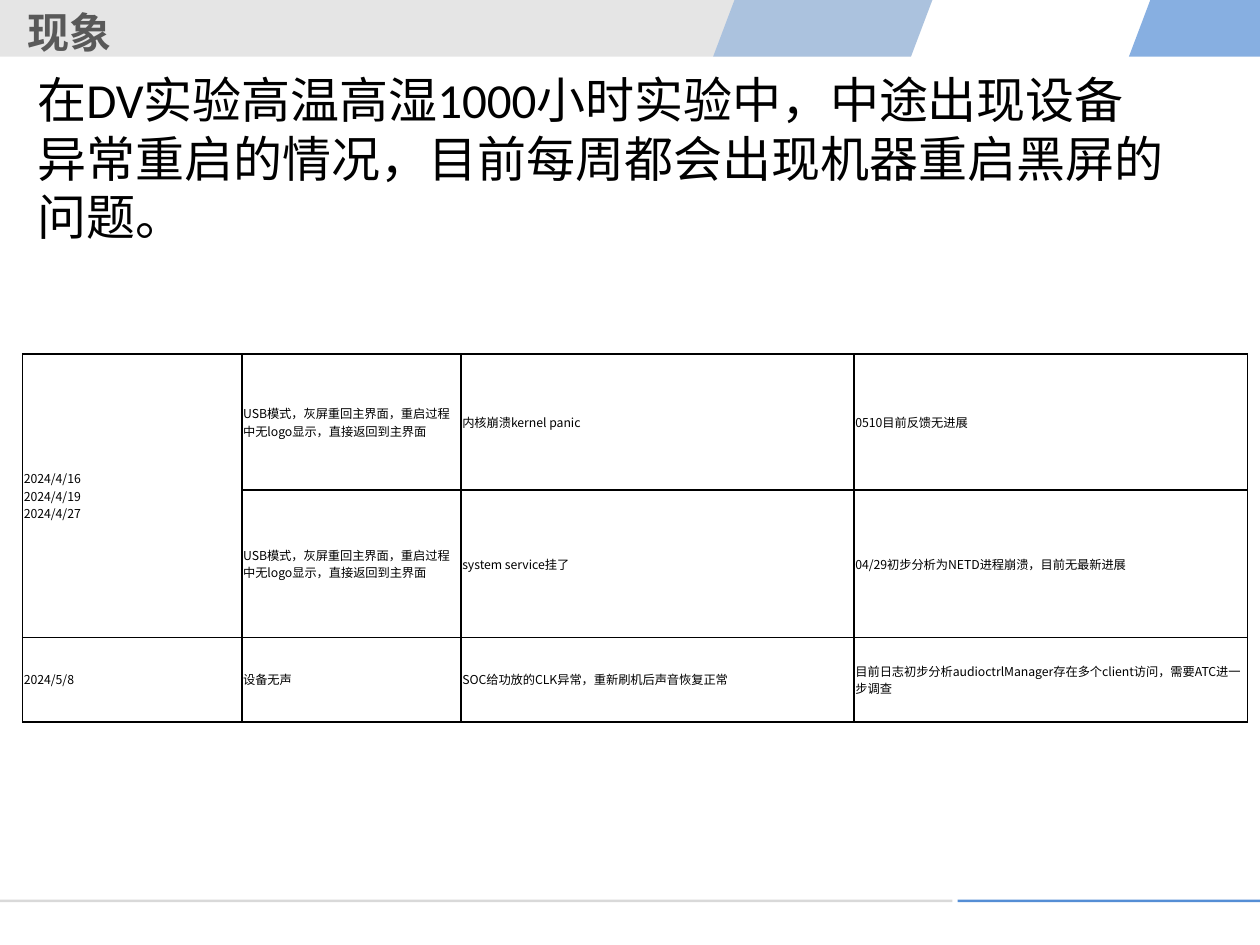
"""Build a slide on device restarts seen during high-temperature, high-humidity testing."""
from dataclasses import dataclass

import lxml.etree
import pptx
import pptx.dml.color
import pptx.enum.shapes
import pptx.enum.text
import pptx.oxml.ns
import pptx.util

Inches = pptx.util.Inches
Pt = pptx.util.Pt
RGBColor = pptx.dml.color.RGBColor
qn = pptx.oxml.ns.qn

BLACK = RGBColor(0x00, 0x00, 0x00)
WHITE = RGBColor(0xFF, 0xFF, 0xFF)
BLUE = RGBColor(0x55, 0x8E, 0xD5)
GRAY = RGBColor(0xBF, 0xBF, 0xBF)
LIGHT_GRAY = RGBColor(0xD9, 0xD9, 0xD9)
TITLE_GRAY = RGBColor(0x59, 0x59, 0x59)
CJK_FONT = "Noto Sans CJK SC"
BODY_FONT = "Calibri"
BAND_HEIGHT = 0.45


@dataclass(frozen=True)
class Band:
    top_left: float
    top_right: float
    bottom_right: float
    bottom_left: float
    color: RGBColor
    opacity: int


@dataclass(frozen=True)
class Rule:
    left: float
    width: float
    color: RGBColor


@dataclass(frozen=True)
class TextStyle:
    size: float
    font: str
    color: RGBColor = BLACK
    bold: bool = False


@dataclass(frozen=True)
class TextBox:
    left: float
    top: float
    width: float
    height: float
    text: str
    style: TextStyle


BANDS = [
    Band(9.13, 10, 10, 8.96, BLUE, 70),
    Band(0, 7.4, 7.23, 0, GRAY, 40),
    Band(5.83, 7.4, 7.23, 5.66, BLUE, 40),
]
FOOTER_RULES = [Rule(0, 7.56, LIGHT_GRAY), Rule(7.6, 2.4, BLUE)]
TEXT_BOXES = [
    TextBox(0.12, 0, 6.14, 0.5, "现象", TextStyle(24, CJK_FONT, TITLE_GRAY, True)),
    TextBox(0.2, 0.5, 9.13, 1.51,
            "在DV实验高温高湿1000小时实验中，中途出现设备异常重启的情况，目前每周都会出现机器重启黑屏的问题。",
            TextStyle(28, BODY_FONT)),
]
CELL_STYLE = TextStyle(7, CJK_FONT)
COLUMN_WIDTHS = [1.74, 1.74, 3.12, 3.12]
ROW_HEIGHTS = [1.08, 1.17, 0.67]
USB_RESTART = "USB模式，灰屏重回主界面，重启过程中无logo显示，直接返回到主界面"
ISSUES = [
    ["2024/4/16\n2024/4/19\n2024/4/27", USB_RESTART, "内核崩溃kernel panic", "0510目前反馈无进展"],
    ["", USB_RESTART, "system service挂了", "04/29初步分析为NETD进程崩溃，目前无最新进展"],
    ["2024/5/8", "设备无声", "SOC给功放的CLK异常，重新刷机后声音恢复正常",
     "目前日志初步分析audioctrlManager存在多个client访问，需要ATC进一步调查"],
]


def paint(sp, color: RGBColor) -> None:
    """Give a shape a plain fill without line or shadow."""
    sp.shadow.inherit = False
    sp.fill.solid()
    sp.fill.fore_color.rgb = color
    sp.line.fill.background()


def add_band(s, band: Band) -> None:
    """Draw a translucent slanted header band."""
    builder = s.shapes.build_freeform(Inches(band.top_left), 0)
    builder.add_line_segments([
        (Inches(band.top_right), 0),
        (Inches(band.bottom_right), Inches(BAND_HEIGHT)),
        (Inches(band.bottom_left), Inches(BAND_HEIGHT)),
    ], close=True)
    sp = builder.convert_to_shape()
    paint(sp, band.color)
    color = sp._element.spPr.find(qn("a:solidFill")).find(qn("a:srgbClr"))
    lxml.etree.SubElement(color, qn("a:alpha"), val=str(band.opacity * 1000))


def add_rule(s, rule: Rule) -> None:
    """Draw a thin footer rule."""
    sp = s.shapes.add_shape(pptx.enum.shapes.MSO_SHAPE.RECTANGLE, Inches(rule.left),
                            Inches(7.14), Inches(rule.width), Inches(0.02))
    paint(sp, rule.color)


def write(p, text: str, style: TextStyle) -> None:
    """Add styled runs to a paragraph, with a line break between lines."""
    for index, line in enumerate(text.split("\n")):
        if index:
            p.add_line_break()
        r = p.add_run()
        r.text = line
        r.font.size = Pt(style.size)
        r.font.name = style.font
        r.font.bold = style.bold
        r.font.color.rgb = style.color
        lxml.etree.SubElement(r.font._element, qn("a:ea"), typeface=CJK_FONT)


def add_text(s, box: TextBox) -> None:
    """Add a wrapped text box."""
    sp = s.shapes.add_textbox(Inches(box.left), Inches(box.top),
                              Inches(box.width), Inches(box.height))
    tf = sp.text_frame
    tf.word_wrap = True
    tf.auto_size = pptx.enum.text.MSO_AUTO_SIZE.SHAPE_TO_FIT_TEXT
    write(tf.paragraphs[0], box.text, box.style)


def format_cell(cell) -> None:
    """Set a cell's borders, fill, margins and anchor."""
    tc_pr = cell._tc.get_or_add_tcPr()
    for side in ("lnL", "lnR", "lnT", "lnB"):
        ln = lxml.etree.SubElement(tc_pr, qn(f"a:{side}"), w=str(Pt(1)))
        fill = lxml.etree.SubElement(ln, qn("a:solidFill"))
        lxml.etree.SubElement(fill, qn("a:srgbClr"), val=str(BLACK))
    cell.fill.solid()
    cell.fill.fore_color.rgb = WHITE
    cell.margin_left = cell.margin_right = Inches(0.01)
    cell.margin_top = cell.margin_bottom = Inches(0.01)
    cell.vertical_anchor = pptx.enum.text.MSO_ANCHOR.MIDDLE


def add_issue_table(s) -> None:
    """Add the table of dated issues."""
    table = s.shapes.add_table(len(ROW_HEIGHTS), len(COLUMN_WIDTHS), Inches(0.18), Inches(2.81),
                               Inches(sum(COLUMN_WIDTHS)), Inches(sum(ROW_HEIGHTS))).table
    table.first_row = table.horz_banding = False
    for column, width in zip(table.columns, COLUMN_WIDTHS):
        column.width = Inches(width)
    for row, height, texts in zip(table.rows, ROW_HEIGHTS, ISSUES):
        row.height = Inches(height)
        for cell, text in zip(row.cells, texts):
            format_cell(cell)
            if text:
                write(cell.text_frame.paragraphs[0], text, CELL_STYLE)
    table.cell(0, 0).merge(table.cell(1, 0))


def main() -> None:
    """Assemble and save the slide."""
    prs = pptx.Presentation()
    prs.slide_width, prs.slide_height = Inches(10), Inches(7.5)
    s = prs.slides.add_slide(prs.slide_layouts[6])
    for band in BANDS:
        add_band(s, band)
    for rule in FOOTER_RULES:
        add_rule(s, rule)
    for box in TEXT_BOXES:
        add_text(s, box)
    add_issue_table(s)
    prs.save("out.pptx")


if __name__ == "__main__":
    main()
